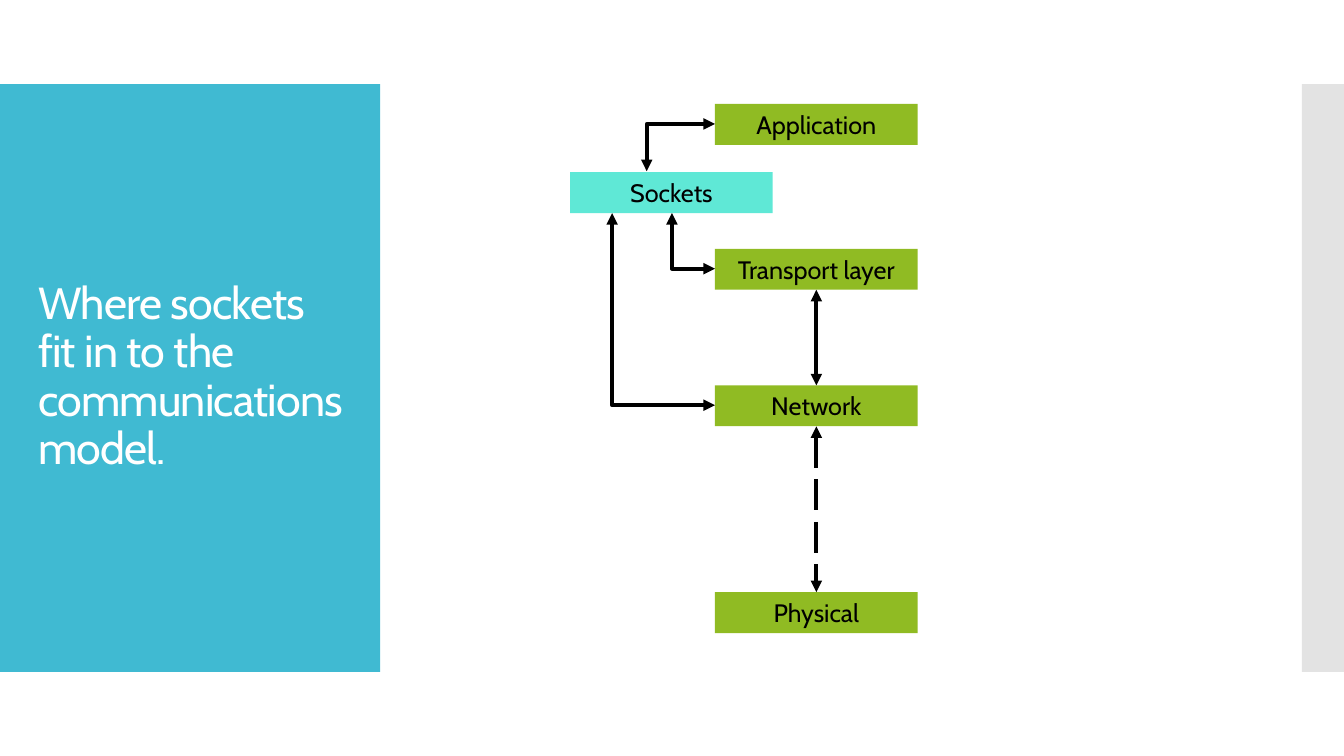
from lxml import etree
from pptx import Presentation
from pptx.dml.color import RGBColor
from pptx.enum.dml import MSO_LINE
from pptx.enum.shapes import MSO_CONNECTOR, MSO_SHAPE
from pptx.enum.text import MSO_ANCHOR, MSO_AUTO_SIZE, PP_ALIGN
from pptx.oxml.ns import qn
from pptx.util import Pt

PX = 9525  # EMU per px, 96 px to the inch
LAYER_LEFT, BOX_WIDTH, BOX_HEIGHT = 681, 193, 39

presentation = Presentation()
presentation.slide_width, presentation.slide_height = 1280 * PX, 720 * PX
slide = presentation.slides.add_slide(presentation.slide_layouts[6])


def add_block(left, top, width, height, color):
    block = slide.shapes.add_shape(
        MSO_SHAPE.RECTANGLE, left * PX, top * PX, width * PX, height * PX)
    block.shadow.inherit = False
    block.fill.solid()
    block.fill.fore_color.rgb = RGBColor.from_string(color)
    block.line.fill.background()
    return block


def add_arrow(kind, start, end):
    """Add a black arrow with a head at both ends."""
    arrow = slide.shapes.add_connector(kind, *(v * PX for v in start + end))
    arrow.line.color.rgb = RGBColor.from_string("000000")
    arrow.line.width = Pt(2.75)
    properties = arrow._element.spPr
    etree.SubElement(properties, qn("a:effectLst"))
    for tip in ("a:headEnd", "a:tailEnd"):
        etree.SubElement(properties.find(qn("a:ln")), qn(tip), type="triangle")
    return arrow


# Side panels and title
add_block(0, 80, 362, 560, "40BAD2")
edge_strip = add_block(1240, 80, 40, 560, "C8C8C8")
strip_color = edge_strip._element.spPr.find(qn("a:solidFill"))[0]
etree.SubElement(strip_color, qn("a:alpha"), val="50000")

title = slide.shapes.add_textbox(27 * PX, 118 * PX, 309 * PX, 483 * PX)
title.text_frame.word_wrap = True
title.text_frame.vertical_anchor = MSO_ANCHOR.MIDDLE
heading = title.text_frame.paragraphs[0]
heading.line_spacing = 0.9
heading_run = heading.add_run()
heading_run.text = "Where sockets fit in to the communications model."
heading_run.font.name = "Cabin"
heading_run.font.size = Pt(32)
heading_run.font.color.rgb = RGBColor.from_string("FFFFFF")
heading_run.font._element.set("spc", "-60")

# Layers of the model
layers = {}
for label, left, top, color in (
    ("Application", LAYER_LEFT, 99, "90BB23"),
    ("Sockets", 543, 164, "5FE8D6"),
    ("Transport layer", LAYER_LEFT, 237, "90BB23"),
    ("Network", LAYER_LEFT, 367, "90BB23"),
    ("Physical", LAYER_LEFT, 564, "90BB23"),
):
    layer = add_block(left, top, BOX_WIDTH, BOX_HEIGHT, color)
    layer.text_frame.auto_size = MSO_AUTO_SIZE.SHAPE_TO_FIT_TEXT
    caption = layer.text_frame.paragraphs[0]
    caption.alignment = PP_ALIGN.CENTER
    caption.text = label
    caption.font.name = "Cabin"
    caption.font.size = Pt(18)
    caption.font.color.rgb = RGBColor.from_string("000000")
    layers[label] = layer

# Straight links between neighbouring layers
for upper, lower, dash in (
    ("Network", "Physical", MSO_LINE.LONG_DASH),
    ("Transport layer", "Network", None),
):
    link = add_arrow(MSO_CONNECTOR.STRAIGHT, (0, 0), (0, 0))
    link.begin_connect(layers[upper], 2)
    link.end_connect(layers[lower], 0)
    if dash:
        link.line.dash_style = dash

# Links with one corner, from a layer's left side to Sockets
for layer_middle, sockets_x, sockets_y in (
    (118, 616, 163),
    (256, 640, 203),
    (386, 583, 203),
):
    link = add_arrow(MSO_CONNECTOR.ELBOW, (LAYER_LEFT, layer_middle),
                     (sockets_x, sockets_y))
    link._element.spPr.find(qn("a:prstGeom")).set("prst", "bentConnector2")

presentation.save("out.pptx")
